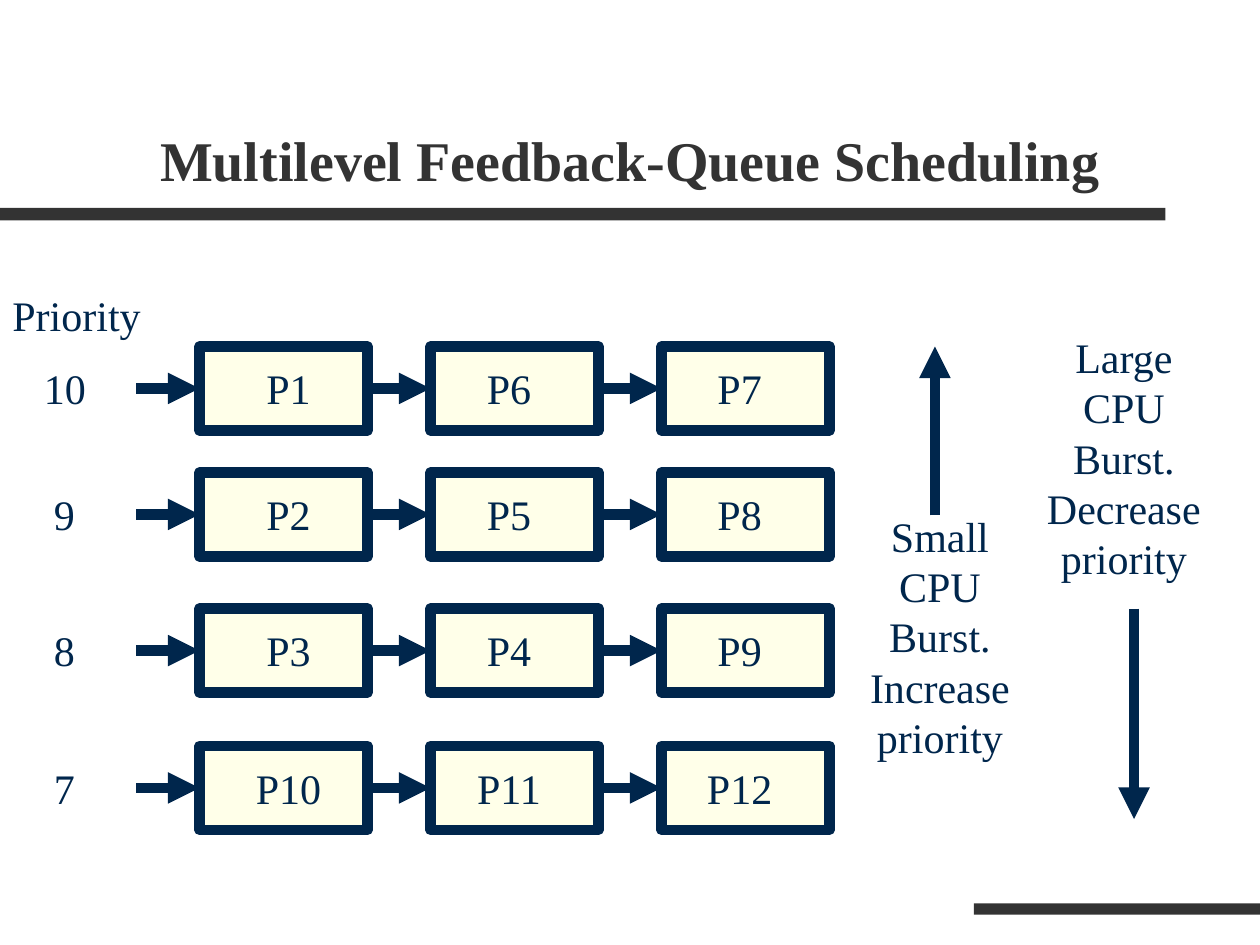
"""Build a slide of the queues in multilevel feedback-queue scheduling."""
from dataclasses import dataclass

from lxml.etree import SubElement
from pptx import Presentation
from pptx.dml.color import RGBColor
from pptx.enum.shapes import MSO_CONNECTOR, MSO_SHAPE
from pptx.enum.text import MSO_ANCHOR, MSO_AUTO_SIZE, PP_ALIGN
from pptx.oxml.ns import qn
from pptx.util import Inches, Pt


@dataclass(frozen=True)
class Theme:
    """Colours, font and sizes of the slide."""
    font: str = "Times New Roman"
    gray: RGBColor = RGBColor(0x33, 0x33, 0x33)
    navy: RGBColor = RGBColor(0x00, 0x26, 0x4C)
    cream: RGBColor = RGBColor(0xFF, 0xFF, 0xE9)
    head: int = 32
    body: int = 24
    lead: float = 28.8
    gap: int = 15
    line: int = 6


THEME = Theme()
TITLE = "Multilevel Feedback-Queue Scheduling"
BARS = [(0, 1.65, 9.25, 0.1), (7.73, 7.17, 2.27, 0.09)]
QUEUES = [
    ("10", 0.25, 2.75, ["P1", "P6", "P7"]),
    ("9", 0.33, 3.75, ["P2", "P5", "P8"]),
    ("8", 0.33, 4.83, ["P3", "P4", "P9"]),
    ("7", 0.33, 5.92, ["P10", "P11", "P12"]),
]
NOTES = [
    ("Small CPU Burst. Increase priority", (6.75, 4, 1.42, 2.1)),
    ("Large CPU Burst. Decrease priority", (8.17, 2.58, 1.5, 2.1)),
]
TRENDS = [((7.42, 4.09), (7.42, 2.75)), ((9, 4.83), (9, 6.5))]
LEFT, STEP, WIDE, HIGH = 19 / 12, 11 / 6, 4 / 3, 2 / 3
NAMES = [1.75, 3.5, 5.33]
INSET, START = 0.08, 1.08


def style(run, size, color, bold=False):
    """Set the font of a run."""
    font = run.font
    font.name, font.size, font.bold = THEME.font, Pt(size), bold
    font.color.rgb = color


def block(slide, area, fill, edge=None):
    """Add a filled rectangle."""
    shape = slide.shapes.add_shape(MSO_SHAPE.RECTANGLE, *map(Inches, area))
    shape.shadow.inherit = False
    shape.fill.solid()
    shape.fill.fore_color.rgb = fill
    if edge is None:
        shape.line.fill.background()
    else:
        shape.line.color.rgb = edge
        shape.line.width = Pt(THEME.line)
    return shape


def label(slide, text, area, align=PP_ALIGN.CENTER):
    """Add a wrapped text box."""
    frame = slide.shapes.add_textbox(*map(Inches, area)).text_frame
    frame.word_wrap = True
    frame.auto_size = MSO_AUTO_SIZE.SHAPE_TO_FIT_TEXT
    frame.text = text
    para = frame.paragraphs[0]
    para.alignment = align
    para.space_before = Pt(THEME.gap)
    para.line_spacing = Pt(THEME.lead)
    style(para.runs[0], THEME.body, THEME.navy)


def arrow(slide, start, end):
    """Add a straight line with an arrowhead at its end."""
    link = slide.shapes.add_connector(
        MSO_CONNECTOR.STRAIGHT, *map(Inches, (*start, *end)))
    link.line.color.rgb = THEME.navy
    link.line.width = Pt(THEME.line)
    SubElement(link.line._get_or_add_ln(), qn("a:tailEnd"), type="triangle")
    SubElement(link._element.spPr, qn("a:effectLst"))
    return link


def heading(slide):
    """Place the title and the two bars."""
    for area in BARS:
        block(slide, area, THEME.gray)
    title = slide.shapes.title
    title.left, title.top, title.width, title.height = map(
        Inches, (1.17, 0.33, 8.5, 1.25))
    frame = title.text_frame
    frame.text = TITLE
    frame.vertical_anchor = MSO_ANCHOR.BOTTOM
    frame.auto_size = MSO_AUTO_SIZE.NONE
    para = frame.paragraphs[0]
    para.alignment = PP_ALIGN.LEFT
    style(para.runs[0], THEME.head, THEME.gray, True)


def queue(slide, rank, edge, top, jobs):
    """Draw one priority level with its chain of jobs."""
    label(slide, rank, (edge, top + INSET, 0.67, 0.5), PP_ALIGN.LEFT)
    mid, last = top + HIGH / 2, None
    for col, (job, name) in enumerate(zip(jobs, NAMES)):
        left = LEFT + col * STEP
        box = block(slide, (left, top, WIDE, HIGH), THEME.cream, THEME.navy)
        link = arrow(slide, (START, mid), (left, mid))
        if last is not None:
            link.begin_connect(last, 3)
        link.end_connect(box, 1)
        label(slide, job, (name, top + INSET, 1.08, 0.5))
        last = box


def main():
    """Build and save the slide."""
    deck = Presentation()
    deck.slide_width, deck.slide_height = Inches(10), Inches(7.5)
    slide = deck.slides.add_slide(deck.slide_layouts[5])
    heading(slide)
    label(slide, "Priority", (0, 2.25, 1.42, 0.5), PP_ALIGN.LEFT)
    for row in QUEUES:
        queue(slide, *row)
    for text, area in NOTES:
        label(slide, text, area)
    for start, end in TRENDS:
        arrow(slide, start, end)
    deck.save("out.pptx")


if __name__ == "__main__":
    main()
